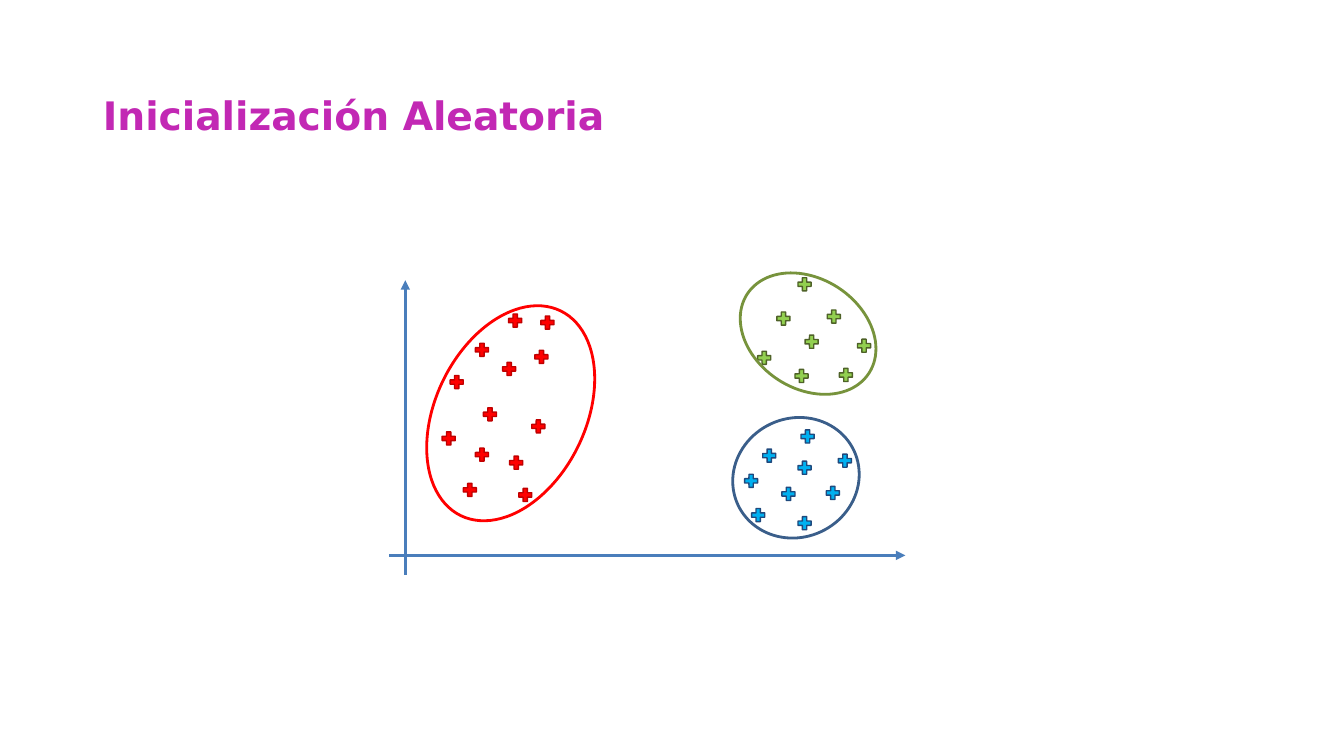
from dataclasses import dataclass
from math import sqrt

from lxml.etree import SubElement
from pptx import Presentation
from pptx.dml.color import RGBColor
from pptx.enum.shapes import MSO_CONNECTOR, MSO_SHAPE
from pptx.enum.text import MSO_ANCHOR, PP_ALIGN
from pptx.oxml.ns import qn
from pptx.shapes.autoshape import Shape
from pptx.slide import Slide
from pptx.util import Inches, Pt

COLORS = {
    "title": "C228B4", "axis": "4A7EBB",
    "red": "FF0000", "dark_red": "C00000",
    "green": "92D050", "dark_green": "4F6228", "olive": "77933C",
    "blue": "00B0F0", "navy": "1F497D", "steel": "3A5E8A",
}
MARKER_SPAN = 0.13
PLUS_ARM = ((-1, -1), (-1, -3), (1, -3))
Point = tuple[float, float]


@dataclass(frozen=True)
class Cluster:
    fill: str
    edge: str
    outline: str
    corner: Point
    size: Point
    rotation: float
    points: tuple[Point, ...]


AXES: tuple[tuple[Point, Point], ...] = (
    ((4.02, 5.7), (4.02, 2.78)),
    ((3.86, 5.51), (8.98, 5.51)),
)

CLUSTERS = (
    Cluster("red", "dark_red", "red", (4.32, 2.97), (1.49, 2.26), 26, (
        (5.34, 4.23), (4.78, 4.51), (5.21, 4.91), (4.66, 4.86), (4.45, 4.35),
        (4.86, 4.11), (5.12, 4.59), (4.53, 3.79), (5.05, 3.66), (4.78, 3.47),
        (5.37, 3.54), (5.43, 3.2), (5.11, 3.18),
    )),
    Cluster("green", "dark_green", "olive", (7.47, 2.59), (1.09, 1.44), 303, (
        (7.98, 2.82), (8.27, 3.14), (7.77, 3.16), (8.05, 3.39),
        (8.57, 3.43), (7.95, 3.73), (8.39, 3.72), (7.58, 3.55),
    )),
    Cluster("blue", "navy", "steel", (7.26, 4.15), (1.27, 1.18), 335, (
        (7.45, 4.77), (7.63, 4.52), (7.82, 4.9), (7.52, 5.11), (7.98, 5.19),
        (8.26, 4.89), (7.98, 4.64), (8.38, 4.57), (8.01, 4.33),
    )),
)


def color(name: str) -> RGBColor:
    """Return the named palette colour."""
    return RGBColor.from_string(COLORS[name])


def add_title(page: Slide, text: str) -> None:
    """Place and format the slide title."""
    box = page.shapes.title
    box.left, box.top = Inches(0.92), Inches(0.71)
    box.width, box.height = Inches(11.5), Inches(0.91)
    box.text_frame.text = text
    box.text_frame.vertical_anchor = MSO_ANCHOR.MIDDLE
    para = box.text_frame.paragraphs[0]
    para.alignment = PP_ALIGN.LEFT
    para.line_spacing = 0.9
    span = para.runs[0]
    span.font.name = "DejaVu Sans"
    span.font.size = Pt(28)
    span.font.bold = True
    span.font.color.rgb = color("title")


def add_axis(page: Slide, start: Point, end: Point) -> None:
    """Draw an axis with an arrowhead at its end."""
    axis = page.shapes.add_connector(
        MSO_CONNECTOR.STRAIGHT, *map(Inches, start + end))
    axis.line.color.rgb = color("axis")
    axis.line.width = Pt(2.25)
    SubElement(axis.line._get_or_add_ln(), qn("a:tailEnd"), type="triangle")
    SubElement(axis._element.spPr, qn("a:effectLst"))


def diagonal_cross() -> list[tuple[int, int]]:
    """Return a plus outline turned by an eighth, on a whole-number grid."""
    corners, arm = [], PLUS_ARM
    for _ in range(4):
        corners += [(x - y, x + y) for x, y in arm]
        arm = [(-y, x) for x, y in arm]
    return corners


def format_outline(shape: Shape, rotation: float, line: str,
                   width: float) -> None:
    """Set the rotation and line of a shape without shadow."""
    shape.rotation = rotation
    shape.shadow.inherit = False
    shape.line.color.rgb = color(line)
    shape.line.width = Pt(width)


def add_marker(page: Slide, center: Point, fill: str, edge: str) -> None:
    """Draw a data point as a small cross around its centre."""
    first, *rest = diagonal_cross()
    builder = page.shapes.build_freeform(
        *first, scale=Inches(MARKER_SPAN) / (6 * sqrt(2)))
    builder.add_line_segments(rest, close=True)
    marker = builder.convert_to_shape(*map(Inches, center))
    format_outline(marker, 315, edge, 1)
    marker.fill.solid()
    marker.fill.fore_color.rgb = color(fill)


def add_ring(page: Slide, cluster: Cluster) -> None:
    """Draw the hollow ellipse around a cluster."""
    ring = page.shapes.add_shape(
        MSO_SHAPE.OVAL, *map(Inches, cluster.corner + cluster.size))
    format_outline(ring, cluster.rotation, cluster.outline, 2)
    ring.fill.background()


def main() -> None:
    """Build the slide and save the deck."""
    deck = Presentation()
    deck.slide_width, deck.slide_height = Inches(13.33), Inches(7.5)
    page = deck.slides.add_slide(deck.slide_layouts.get_by_name("Title Only"))
    add_title(page, "Inicialización Aleatoria")
    for start, end in AXES:
        add_axis(page, start, end)
    for cluster in CLUSTERS:
        for point in cluster.points:
            add_marker(page, point, cluster.fill, cluster.edge)
    for cluster in CLUSTERS:
        add_ring(page, cluster)
    deck.save("out.pptx")


if __name__ == "__main__":
    main()
